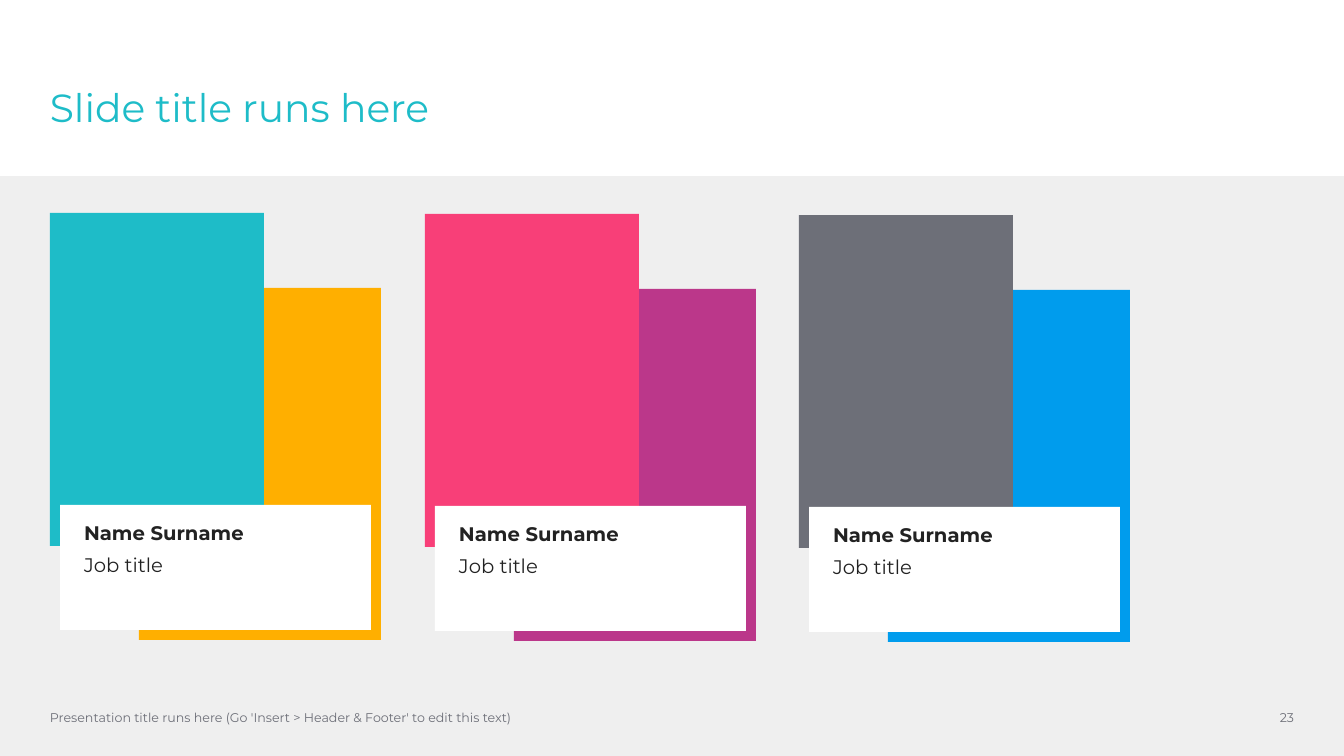
from pptx import Presentation
from pptx.dml.color import RGBColor
from pptx.enum.shapes import MSO_SHAPE
from pptx.enum.text import MSO_ANCHOR, PP_ALIGN
from pptx.util import Pt

RECTANGLE = MSO_SHAPE.RECTANGLE
TOP, MIDDLE = MSO_ANCHOR.TOP, MSO_ANCHOR.MIDDLE
LEFT, RIGHT = PP_ALIGN.LEFT, PP_ALIGN.RIGHT
PX = 914400 / 100.8

THEME = {
    "font": "Montserrat",
    "title_size": 28, "name_size": 14, "footer_size": 9,
    "teal": "1EBCC8", "amber": "FFAF00", "pink": "F83F78", "purple": "BB378A",
    "slate": "6D6F78", "blue": "009CED",
    "panel": "EFEFEF", "white": "FFFFFF", "ink": "222222",
}


def add_block(box, color):
    block = slide.shapes.add_shape(RECTANGLE, *[round(v * PX) for v in box])
    block.shadow.inherit = False
    block.fill.solid()
    block.fill.fore_color.rgb = RGBColor.from_string(THEME[color])
    block.line.fill.background()
    return block


def write(holder, lines, size, color, insets=(0, 0, 0, 0), anchor=TOP,
          align=LEFT, line_spacing=None):
    frame = holder.text_frame
    frame.word_wrap = True
    frame.vertical_anchor = anchor
    (frame.margin_left, frame.margin_top,
     frame.margin_right, frame.margin_bottom) = [round(v * PX) for v in insets]
    for index, (text, bold) in enumerate(lines):
        paragraph = frame.add_paragraph() if index else frame.paragraphs[0]
        paragraph.alignment = align
        if index:
            paragraph.space_before = Pt(6)
        if line_spacing:
            paragraph.line_spacing = line_spacing
        run = paragraph.add_run()
        run.text = text
        run.font.name = THEME["font"]
        run.font.size = Pt(THEME[size])
        run.font.bold = bold
        run.font.color.rgb = RGBColor.from_string(THEME[color])


prs = Presentation()
prs.slide_width, prs.slide_height = round(1344 * PX), round(756 * PX)
slide = prs.slides.add_slide(prs.slide_layouts[6])

add_block((0, 176, 1344, 580), "panel")

title = slide.shapes.add_textbox(*[round(v * PX) for v in (50, 89, 1163, 125)])
write(title, [("Slide title runs here", False)], "title_size", "teal",
      line_spacing=0.9)

people = [
    (50, 213, "teal", "amber"),
    (425, 214, "pink", "purple"),
    (799, 215, "slate", "blue"),
]
for left, top, front, back in people:
    add_block((left + 89, top + 75, 242, 352), back)
    add_block((left, top, 214, 333), front)
    caption = add_block((left + 10, top + 292, 311, 125), "white")
    write(caption, [("Name Surname", True), ("Job title", False)],
          "name_size", "ink", insets=(24, 16, 16, 0))

footers = [
    (50, 918, "Presentation title runs here (Go 'Insert > Header & Footer' to edit this text)", LEFT),
    (1214, 80, "23", RIGHT),
]
for left, width, text, align in footers:
    footer = slide.shapes.add_textbox(*[round(v * PX) for v in (left, 705, width, 25)])
    write(footer, [(text, False)], "footer_size", "slate", anchor=MIDDLE, align=align)

prs.save("out.pptx")
